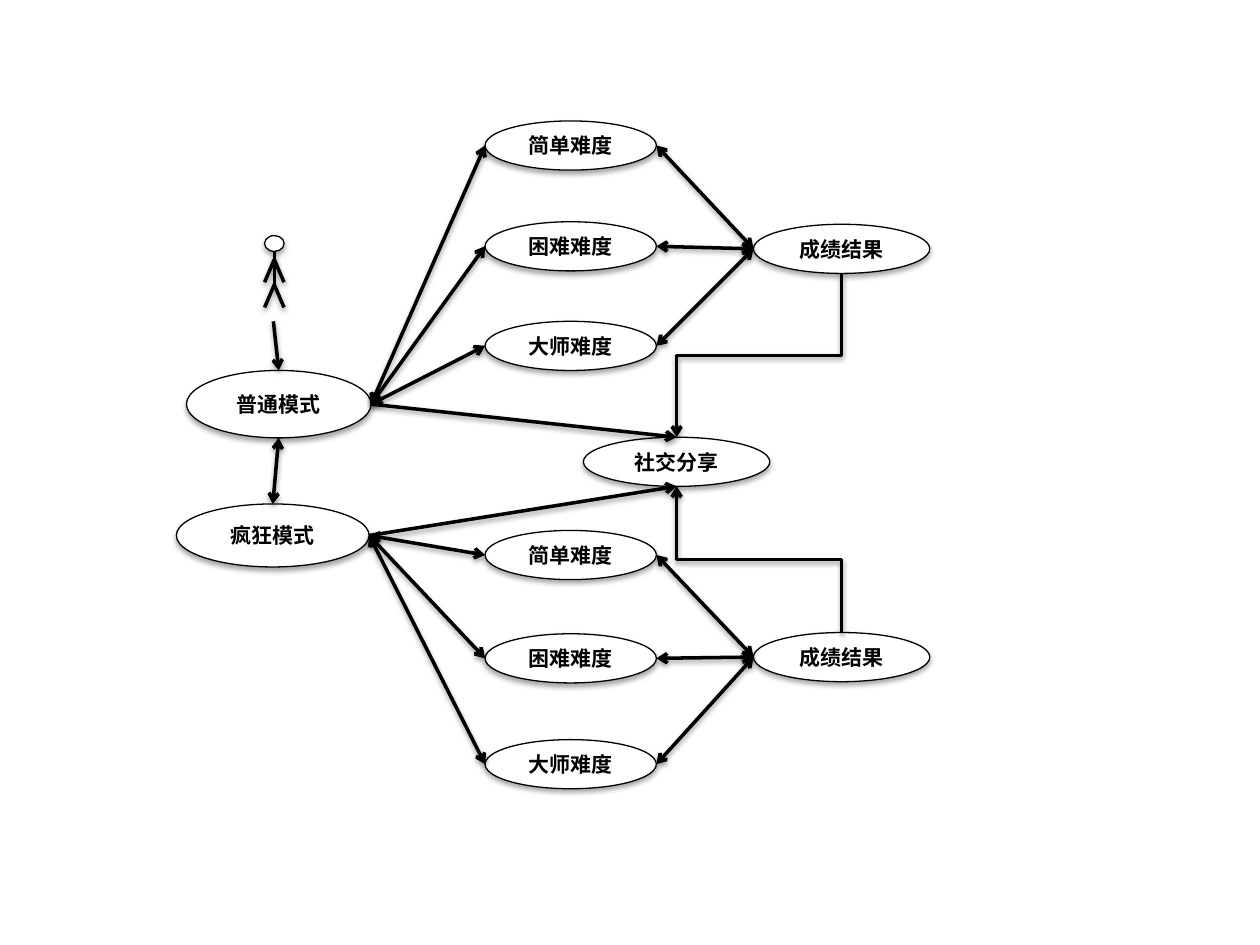
from lxml.etree import SubElement
from pptx import Presentation
from pptx.dml.color import RGBColor
from pptx.enum.shapes import MSO_CONNECTOR, MSO_SHAPE
from pptx.enum.text import MSO_ANCHOR, PP_ALIGN
from pptx.oxml.ns import qn
from pptx.util import Inches, Pt

THEME = {
    "ink": RGBColor(0, 0, 0),
    "paper": RGBColor(255, 255, 255),
    "outline": Pt(0.75),
    "arrow": Pt(2),
    "font": {"name": "Calibri", "size": Pt(12), "bold": True},
}
CELL = Inches(0.1)  # the slide is a grid of 100 columns by 75 rows

prs = Presentation()
prs.slide_width, prs.slide_height = 100 * CELL, 75 * CELL
slide = prs.slides.add_slide(prs.slide_layouts[6])


def finish(sp, width, dist, opacity):
    """Black line and a soft shadow straight below."""
    sp.line.color.rgb = THEME["ink"]
    sp.line.width = width
    effects = SubElement(sp._element.spPr, qn("a:effectLst"))
    shadow = SubElement(effects, qn("a:outerShdw"), blurRad=str(Pt(3.1)),
                        dist=str(Pt(dist)), dir="5400000", rotWithShape="0")
    colour = SubElement(shadow, qn("a:srgbClr"), val=str(THEME["ink"]))
    SubElement(colour, qn("a:alpha"), val=str(opacity * 1000))


def connect(shapes, start, end, arrows=(), kind=MSO_CONNECTOR.STRAIGHT):
    """Line between two grid points, with arrowheads at the named ends."""
    c = shapes.add_connector(kind, *(round(v * CELL) for v in (*start, *end)))
    finish(c, THEME["arrow"], 1.6, 38)
    for tag in arrows:
        SubElement(c.line._ln, qn("a:" + tag), type="arrow")
    return c


TO, BOTH = ("tailEnd",), ("headEnd", "tailEnd")

# Ovals: label, left, top, width, height in cells
levels = ["简单难度", "困难难度", "大师难度"]
level_tops = {"normal": (9.6, 17.6, 25.5), "crazy": (42.1, 50.3, 58.7)}
nodes = {
    "normal": ("普通模式", 14.8, 29.4, 14.65, 5.35),
    "crazy": ("疯狂模式", 14, 40, 15.3, 5),
    "share": ("社交分享", 46.3, 34.7, 14.8, 3.9),
    "normal result": ("成绩结果", 59.8, 17.8, 14, 3.9),
    "crazy result": ("成绩结果", 59.8, 50.2, 14, 3.9),
}
for mode, tops in level_tops.items():
    for label, top in zip(levels, tops):
        nodes[mode, label] = (label, 38.5, top, 13.6, 3.9)

# Each oval, and the points where lines meet it
left, right, top, bottom = {}, {}, {}, {}
for key, (label, x, y, w, h) in nodes.items():
    sp = slide.shapes.add_shape(MSO_SHAPE.OVAL, *(round(v * CELL) for v in (x, y, w, h)))
    sp.fill.solid()
    sp.fill.fore_color.rgb = THEME["paper"]
    finish(sp, THEME["outline"], 1.8, 35)
    tf = sp.text_frame
    tf.vertical_anchor = MSO_ANCHOR.MIDDLE
    p = tf.paragraphs[0]
    p.alignment = PP_ALIGN.CENTER
    r = p.add_run()
    r.text = label
    r.font.color.rgb = THEME["ink"]
    for name, value in THEME["font"].items():
        setattr(r.font, name, value)
    left[key], right[key] = (x, y + h / 2), (x + w, y + h / 2)
    top[key], bottom[key] = (x + w / 2, y), (x + w / 2, y + h)

# Player: head, body, legs and arms
player = slide.shapes.add_group_shape().shapes
head = player.add_shape(MSO_SHAPE.OVAL, *(round(v * CELL) for v in (21, 18.7, 1.55, 1.25)))
head.fill.solid()
head.fill.fore_color.rgb = THEME["paper"]
finish(head, THEME["outline"], 1.8, 35)
hip, neck, shoulder = (21.77, 22.6), (21.77, 20), (21.77, 20.6)
connect(player, neck, hip)
for joint in (hip, shoulder):
    for side in (-0.77, 0.77):
        connect(player, joint, (joint[0] + side, joint[1] + 1.8))

# Player to modes, and modes to sharing
connect(slide.shapes, (21.7, 25.5), top["normal"], TO)
connect(slide.shapes, top["crazy"], bottom["normal"], BOTH)
connect(slide.shapes, right["normal"], top["share"], TO)
connect(slide.shapes, right["crazy"], bottom["share"], TO)

# Each mode to its levels, each level to the result
for mode in level_tops:
    for label in levels:
        connect(slide.shapes, right[mode], left[mode, label], BOTH)
        connect(slide.shapes, right[mode, label], left[mode + " result"], BOTH)

# Results to sharing: elbows that leave vertically, so turned a quarter
for start, end, turn in ((bottom["normal result"], top["share"], 90),
                         (top["crazy result"], bottom["share"], 270)):
    cx, cy = (start[0] + end[0]) / 2, (start[1] + end[1]) / 2
    half_w, half_h = abs(end[1] - start[1]) / 2, (start[0] - end[0]) / 2
    if turn == 270:
        half_h = -half_h
    c = connect(slide.shapes, (cx - half_w, cy - half_h), (cx + half_w, cy + half_h),
                TO, MSO_CONNECTOR.ELBOW)
    c._element.spPr.find(qn("a:xfrm")).set("rot", str(turn * 60000))

prs.save("out.pptx")
